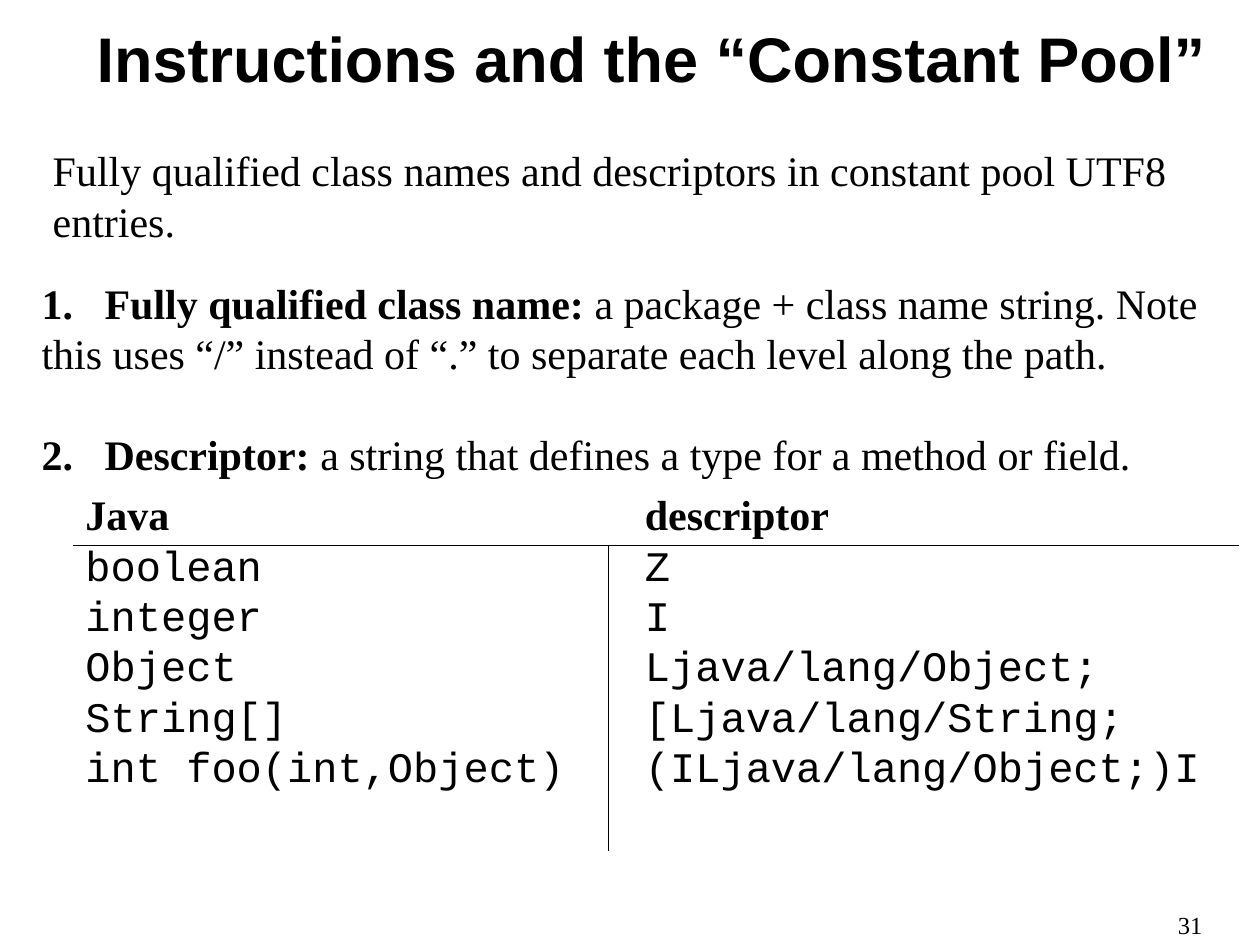
import pptx
import pptx.util
from pptx.dml.color import RGBColor
from pptx.enum.shapes import MSO_CONNECTOR
from pptx.enum.text import MSO_ANCHOR, MSO_AUTO_SIZE, PP_ALIGN
from pptx.oxml.ns import qn
from pptx.util import Inches, Pt
from lxml import etree

BLACK = RGBColor(0, 0, 0)
SERIF, SANS, MONO = "Times New Roman", "Arial", "Courier New"
BODY_SIZE = 24
LINE_PITCH = 28.8

TITLE = "Instructions and the “Constant Pool”"
INTRO = "Fully qualified class names and descriptors in constant pool UTF8 entries."
DEFINITIONS = [
    ("1.\tFully qualified class name:",
     " a package + class name string. Note this uses “/” instead of “.” "
     "to separate each level along the path."),
    ("2.\tDescriptor:", " a string that defines a type for a method or field."),
]
DESCRIPTORS = [
    ("Java", "descriptor"),
    ("boolean", "Z"),
    ("integer", "I"),
    ("Object", "Ljava/lang/Object;"),
    ("String[]", "[Ljava/lang/String;"),
    ("int foo(int,Object)", "(ILjava/lang/Object;)I"),
]
PAGE_NUMBER = "31"

# left, top, width, height in inches
TITLE_BOX = (0.42, 0.08, 9.5, 0.75)
INTRO_BOX = (0.32, 1.1, 9.52, 0.9)
DEFINITIONS_BOX = (0.23, 2.15, 9.52, 1.7)
DESCRIPTORS_BOX = (0.58, 3.83, 9.12, 2.52)
NUMBER_BOX = (9.25, 7.17, 0.75, 0.33)
HEADER_RULE = (0.58, 4.33, 9.83, 4.33)
COLUMN_RULE = (4.83, 4.33, 4.83, 6.75)


def place(shape, box):
    shape.left, shape.top, shape.width, shape.height = map(Inches, box)


def add_text(slide, text, box, wrap=True):
    shape = slide.shapes.add_textbox(*map(Inches, box))
    shape.text_frame.word_wrap = wrap
    shape.text_frame.text = text
    return shape.text_frame


def style(run, font, size, bold=False):
    run.font.name = font
    run.font.size = Pt(size)
    run.font.bold = bold
    run.font.color.rgb = BLACK


def set_tab(paragraph, position):
    """Give the paragraph one left tab stop, in inches from the text edge."""
    stops = etree.SubElement(paragraph._p.get_or_add_pPr(), qn("a:tabLst"))
    etree.SubElement(stops, qn("a:tab"), pos=str(Inches(position)), algn="l")


def add_rule(slide, ends):
    rule = slide.shapes.add_connector(MSO_CONNECTOR.STRAIGHT, *map(Inches, ends))
    rule.line.color.rgb = BLACK
    rule.line.width = Pt(0.75)
    etree.SubElement(rule._element.spPr, qn("a:effectLst"))


def add_title(slide):
    title = slide.shapes.title
    place(title, TITLE_BOX)
    frame = title.text_frame
    frame.text = TITLE
    frame.auto_size = MSO_AUTO_SIZE.NONE
    frame.vertical_anchor = MSO_ANCHOR.MIDDLE
    frame.paragraphs[0].alignment = PP_ALIGN.CENTER
    style(frame.paragraphs[0].runs[0], SANS, 36, bold=True)


def add_definitions(slide):
    body = slide.placeholders[1]
    place(body, DEFINITIONS_BOX)
    frame = body.text_frame
    frame.auto_size = MSO_AUTO_SIZE.NONE
    frame.text = "\n".join(term for term, _ in DEFINITIONS)
    for index, (paragraph, (_, meaning)) in enumerate(zip(frame.paragraphs, DEFINITIONS)):
        paragraph.add_run().text = meaning
        for run in paragraph.runs:
            style(run, SERIF, BODY_SIZE, bold=run.text != meaning)
        paragraph.line_spacing = Pt(LINE_PITCH)
        paragraph.space_before = Pt(LINE_PITCH if index else 0)
        properties = paragraph._p.get_or_add_pPr()
        properties.set("marL", "0")
        properties.set("indent", "0")
        etree.SubElement(properties, qn("a:buNone"))
        set_tab(paragraph, 0.42)


def add_descriptors(slide):
    rows = "\n".join("\t".join(row) for row in DESCRIPTORS)
    frame = add_text(slide, rows, DESCRIPTORS_BOX, wrap=False)
    for index, paragraph in enumerate(frame.paragraphs):
        header = index == 0
        paragraph.line_spacing = Pt(LINE_PITCH)
        set_tab(paragraph, 4.44)
        style(paragraph.runs[0], SERIF if header else MONO, BODY_SIZE, bold=header)
    for ends in (HEADER_RULE, COLUMN_RULE):
        add_rule(slide, ends)


def main():
    deck = pptx.Presentation()
    deck.slide_width, deck.slide_height = Inches(10), Inches(7.5)
    slide = deck.slides.add_slide(deck.slide_layouts[1])

    add_title(slide)
    intro = add_text(slide, INTRO, INTRO_BOX).paragraphs[0]
    intro.line_spacing = Pt(LINE_PITCH)
    style(intro.runs[0], SERIF, BODY_SIZE)
    add_definitions(slide)
    add_descriptors(slide)
    number = add_text(slide, PAGE_NUMBER, NUMBER_BOX).paragraphs[0]
    style(number.runs[0], SERIF, 14)

    deck.save("out.pptx")


if __name__ == "__main__":
    main()
